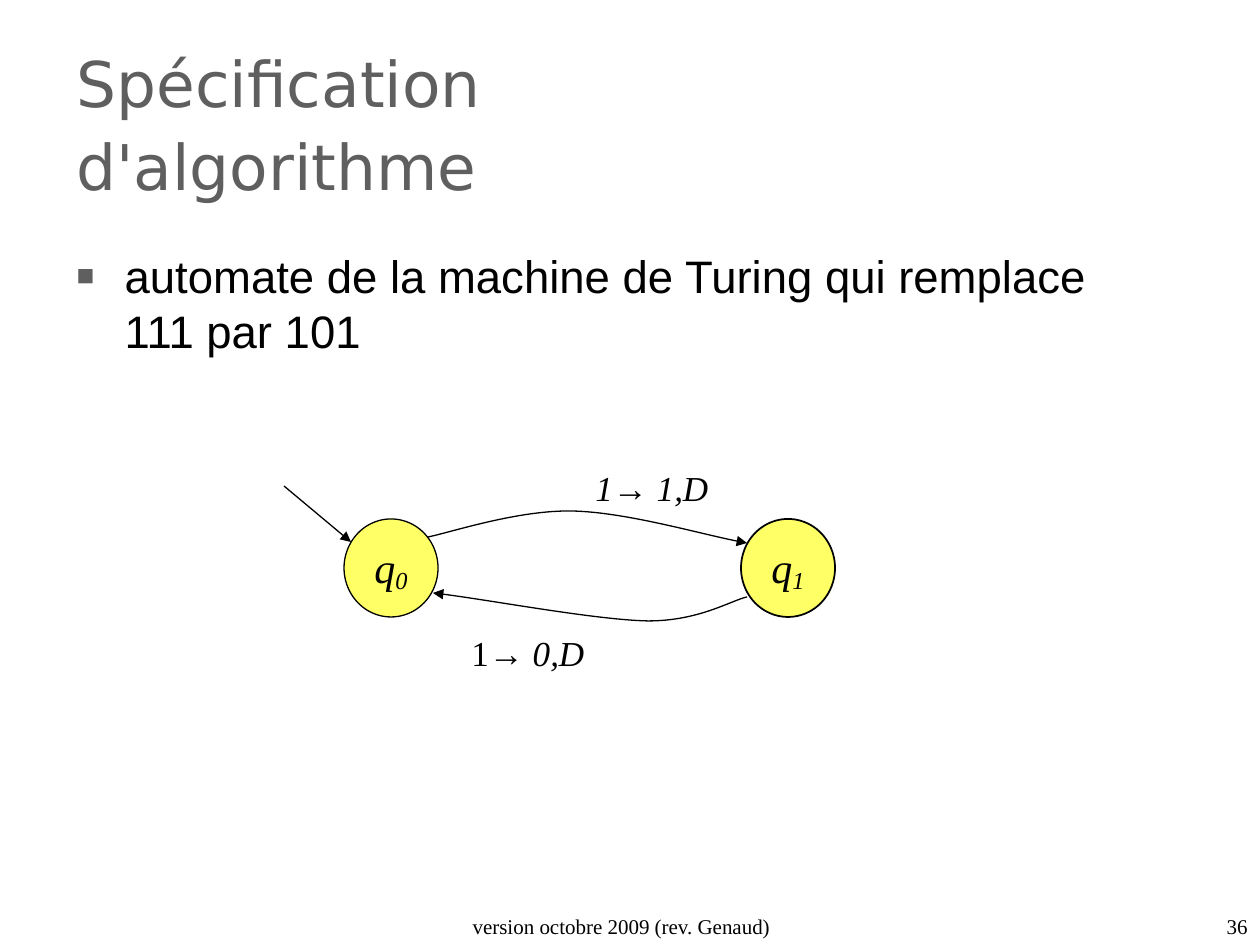
from lxml import etree
from pptx import Presentation, util as u
from pptx.dml.color import RGBColor
from pptx.enum import shapes, text
from pptx.oxml import ns

SCALE = 914400 / 126
BLACK, GREY, YELLOW = "000000", "5F5F5F", "FFFF66"
SERIF = "Times New Roman"


def px(*lengths):
    return [u.Emu(round(length * SCALE)) for length in lengths]


def add_run(paragraph, words, size, font=SERIF, italic=False, color=BLACK):
    run = paragraph.add_run()
    run.text = words
    run.font.size = u.Pt(size)
    run.font.name = font
    run.font.italic = italic
    run.font.color.rgb = RGBColor.from_string(color)
    return run


deck = Presentation()
deck.slide_width, deck.slide_height = px(1260, 945)
slide = deck.slides.add_slide(deck.slide_layouts[1])

title = slide.shapes.title
title.left, title.top, title.width, title.height = px(64, 35, 844, 179)
title.text_frame.auto_size = text.MSO_AUTO_SIZE.NONE
title.text_frame.vertical_anchor = text.MSO_ANCHOR.MIDDLE
heading = title.text_frame.paragraphs[0]
heading.alignment = text.PP_ALIGN.LEFT
add_run(heading, "Spécification d'algorithme", 36, "DejaVu Sans", color=GREY)
add_run(heading, " ", 40, "DejaVu Sans", color=GREY)

body = slide.placeholders[1]
body.left, body.top, body.width, body.height = px(64, 242, 1089, 135)
body.text_frame.auto_size = text.MSO_AUTO_SIZE.NONE
statement = body.text_frame.paragraphs[0]
statement.space_before = u.Pt(6.5)
add_run(statement, "automate de la machine de Turing qui remplace 111 par 101", 26, "Arial")
indent = px(48)[0]
bullet = statement._p.get_or_add_pPr()
bullet.set("marL", str(indent))
bullet.set("indent", str(-indent))
color = etree.SubElement(bullet, ns.qn("a:buClr"))
etree.SubElement(color, ns.qn("a:srgbClr"), val=GREY)
etree.SubElement(bullet, ns.qn("a:buSzPct"), val="65000")
etree.SubElement(bullet, ns.qn("a:buFont"), typeface="Arial")
etree.SubElement(bullet, ns.qn("a:buChar"), char="■")

for left, index, outline in ((344, "0", 0.74), (741, "1", 0.99)):
    state = slide.shapes.add_shape(shapes.MSO_SHAPE.OVAL, *px(left, 519, 94, 98))
    state.shadow.inherit = False
    state.fill.solid()
    state.fill.fore_color.rgb = RGBColor.from_string(YELLOW)
    state.line.color.rgb = RGBColor.from_string(BLACK)
    state.line.width = u.Pt(outline)
    state.text_frame.word_wrap = False
    state.text_frame.vertical_anchor = text.MSO_ANCHOR.MIDDLE
    name = state.text_frame.paragraphs[0]
    name.alignment = text.PP_ALIGN.CENTER
    add_run(name, "q", 24, italic=True)
    subscript = add_run(name, index, 24, italic=True)
    subscript.font._element.set("baseline", "-14000")

entry = slide.shapes.add_connector(shapes.MSO_CONNECTOR.STRAIGHT, *px(284, 486, 351, 542))
etree.SubElement(entry._element.spPr, ns.qn("a:effectLst"))
arrows = [entry]

curves = (
    [(428, 537), (452, 532), (518, 510), (572, 511), (625, 512), (711, 537), (747, 543)],
    [(747, 597), (730, 601), (699, 621), (648, 621), (596, 620), (479, 598), (433, 593)],
)
for start, *controls in curves:
    builder = slide.shapes.build_freeform(*start, scale=SCALE)
    builder.add_line_segments(controls, close=False)
    transition = builder.convert_to_shape()
    transition.shadow.inherit = False
    transition.fill.background()
    route = transition._element.spPr.find(".//" + ns.qn("a:path"))
    steps = route.findall(ns.qn("a:lnTo"))
    for first in range(0, len(steps), 3):
        bend = etree.SubElement(route, ns.qn("a:cubicBezTo"))
        for step in steps[first:first + 3]:
            bend.append(step[0])
            route.remove(step)
    arrows.append(transition)

for arrow in arrows:
    arrow.line.color.rgb = RGBColor.from_string(BLACK)
    arrow.line.width = u.Pt(0.74)
    etree.SubElement(arrow.line._get_or_add_ln(), ns.qn("a:tailEnd"), type="triangle")

TOP, BOTTOM = text.MSO_ANCHOR.TOP, text.MSO_ANCHOR.BOTTOM
LEFT, CENTER, RIGHT = text.PP_ALIGN.LEFT, text.PP_ALIGN.CENTER, text.PP_ALIGN.RIGHT
captions = (
    ((583, 460, 181, 55), TOP, LEFT, 20,
     (("1", SERIF, True), ("→", "Arial", True), (" 1,D", SERIF, True))),
    ((459, 625, 181, 55), TOP, LEFT, 20,
     (("1", SERIF, False), ("→", "Arial", True), (" 0,D", SERIF, True))),
    ((422, 900, 399, 45), BOTTOM, CENTER, 12,
     (("version octobre 2009 (rev. Genaud)", SERIF, False),)),
    ((966, 900, 294, 45), BOTTOM, RIGHT, 12, (("36", SERIF, False),)),
)
for place, anchor, alignment, size, runs in captions:
    caption = slide.shapes.add_textbox(*px(*place)).text_frame
    caption.word_wrap = True
    caption.vertical_anchor = anchor
    line = caption.paragraphs[0]
    line.alignment = alignment
    for words, font, italic in runs:
        add_run(line, words, size, font, italic)

deck.save("out.pptx")
